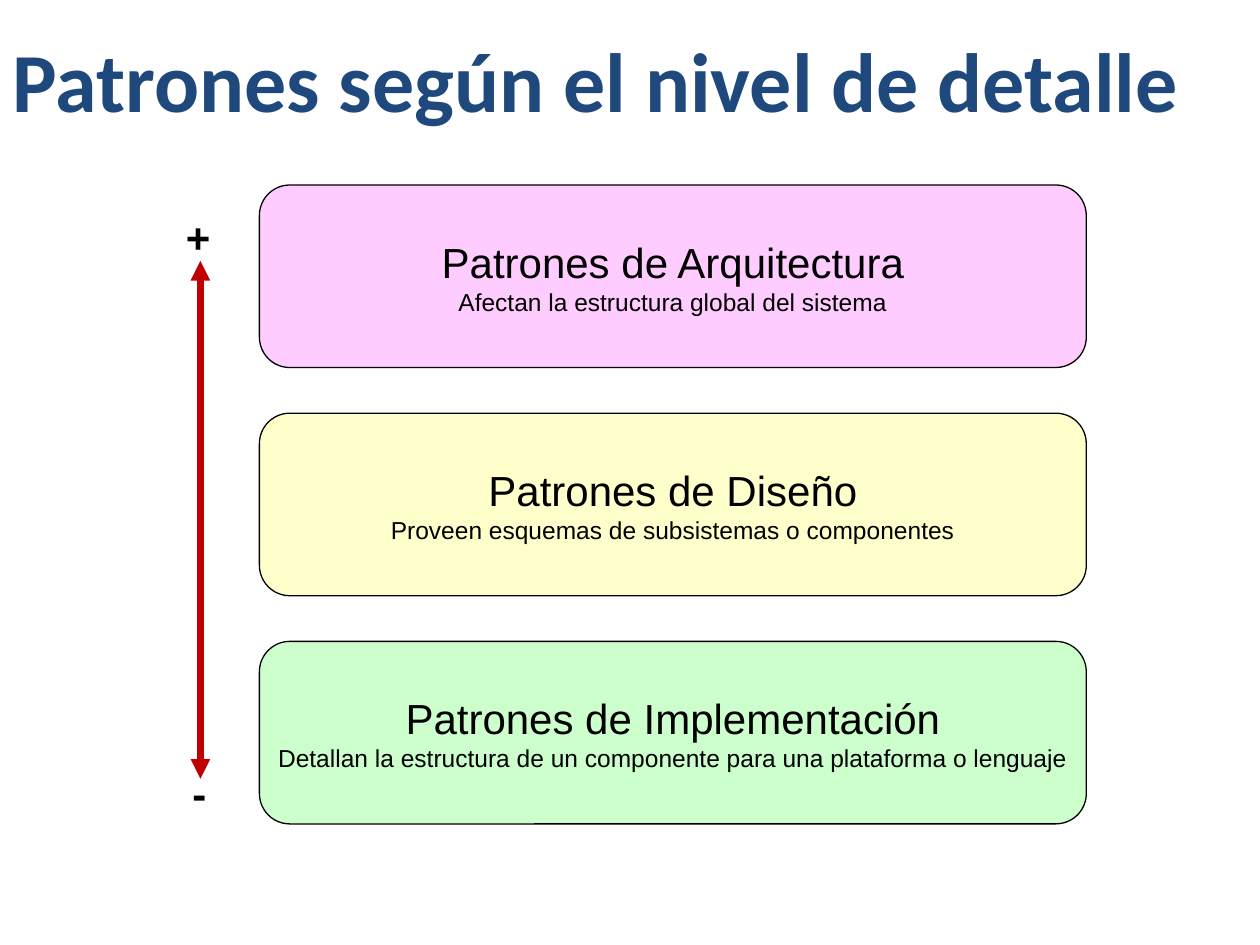
import dataclasses

import lxml.etree
import pptx
import pptx.dml.color
import pptx.enum.shapes
import pptx.enum.text
import pptx.oxml.ns
import pptx.util

Cm = pptx.util.Cm
Pt = pptx.util.Pt
Align = pptx.enum.text.PP_ALIGN
Anchor = pptx.enum.text.MSO_ANCHOR


@dataclasses.dataclass(frozen=True)
class Theme:
    title_font: str = "Calibri"
    body_font: str = "Arial"
    title_size: int = 48
    heading_size: int = 24
    detail_size: int = 14
    title_color: str = "1F497D"
    ink: str = "000000"
    arrow: str = "C00000"
    architecture: str = "FFCCFF"
    design: str = "FFFFCC"
    implementation: str = "CCFFCC"


def rgb(color):
    return pptx.dml.color.RGBColor.from_string(color)


def write(para, text, *, font, size, color, bold=False, align=Align.LEFT):
    para.alignment = align
    span = para.add_run()
    span.text = text
    span.font.name = font
    span.font.size = Pt(size)
    span.font.bold = bold
    span.font.color.rgb = rgb(color)


class SlideBuilder:
    """Adds styled elements to the current slide."""

    def __init__(self, page, theme):
        self.page = page
        self.theme = theme

    def title(self, text, left, top, width, height):
        box = self.page.shapes.title
        box.left, box.top, box.width, box.height = left, top, width, height
        frame = box.text_frame
        frame.vertical_anchor = Anchor.MIDDLE
        frame.auto_size = pptx.enum.text.MSO_AUTO_SIZE.NONE
        write(frame.paragraphs[0], text, font=self.theme.title_font,
              size=self.theme.title_size, color=self.theme.title_color, bold=True)

    def card(self, heading, detail, fill, left, top, width, height):
        box = self.page.shapes.add_shape(
            pptx.enum.shapes.MSO_SHAPE.ROUNDED_RECTANGLE, left, top, width, height)
        box.shadow.inherit = False
        box.fill.solid()
        box.fill.fore_color.rgb = rgb(fill)
        box.line.color.rgb = rgb(self.theme.ink)
        box.line.width = Pt(0.75)
        frame = box.text_frame
        frame.word_wrap = False
        frame.vertical_anchor = Anchor.MIDDLE
        style = dict(font=self.theme.body_font, color=self.theme.ink, align=Align.CENTER)
        write(frame.paragraphs[0], heading, size=self.theme.heading_size, **style)
        write(frame.add_paragraph(), detail, size=self.theme.detail_size, **style)

    def double_arrow(self, x, top, bottom):
        arrow = self.page.shapes.add_connector(
            pptx.enum.shapes.MSO_CONNECTOR.STRAIGHT, x, top, x, bottom)
        arrow.line.color.rgb = rgb(self.theme.arrow)
        arrow.line.width = Pt(3.75)
        qn = pptx.oxml.ns.qn
        properties = arrow.element.spPr
        outline = properties.find(qn("a:ln"))
        for end in ("a:headEnd", "a:tailEnd"):
            lxml.etree.SubElement(outline, qn(end), type="triangle")
        lxml.etree.SubElement(properties, qn("a:effectLst"))

    def sign(self, text, left, top, width, height):
        box = self.page.shapes.add_textbox(left, top, width, height)
        frame = box.text_frame
        frame.word_wrap = False
        write(frame.paragraphs[0], text, font=self.theme.body_font,
              size=self.theme.heading_size, color=self.theme.ink, bold=True)


def main():
    deck = pptx.Presentation()
    deck.slide_width, deck.slide_height = Cm(25.4), Cm(19.05)
    theme = Theme()
    builder = SlideBuilder(deck.slides.add_slide(deck.slide_layouts[5]), theme)
    builder.title("Patrones según el nivel de detalle", 0, 0, Cm(25.4), Cm(3.18))

    levels = [
        ("Patrones de Arquitectura", "Afectan la estructura global del sistema",
         theme.architecture),
        ("Patrones de Diseño", "Proveen esquemas de subsistemas o componentes",
         theme.design),
        ("Patrones de Implementación",
         "Detallan la estructura de un componente para una plataforma o lenguaje",
         theme.implementation),
    ]
    for row, (heading, detail, fill) in enumerate(levels):
        builder.card(heading, detail, fill,
                     Cm(5.23), Cm(3.73 + 4.6 * row), Cm(16.67), Cm(3.68))

    builder.double_arrow(Cm(4.04), Cm(5.26), Cm(15.7))
    builder.sign("+", Cm(3.5), Cm(4.14), Cm(1.02), Cm(1.98))
    builder.sign("-", Cm(3.63), Cm(15.34), Cm(0.79), Cm(1.98))
    deck.save("out.pptx")


if __name__ == "__main__":
    main()
